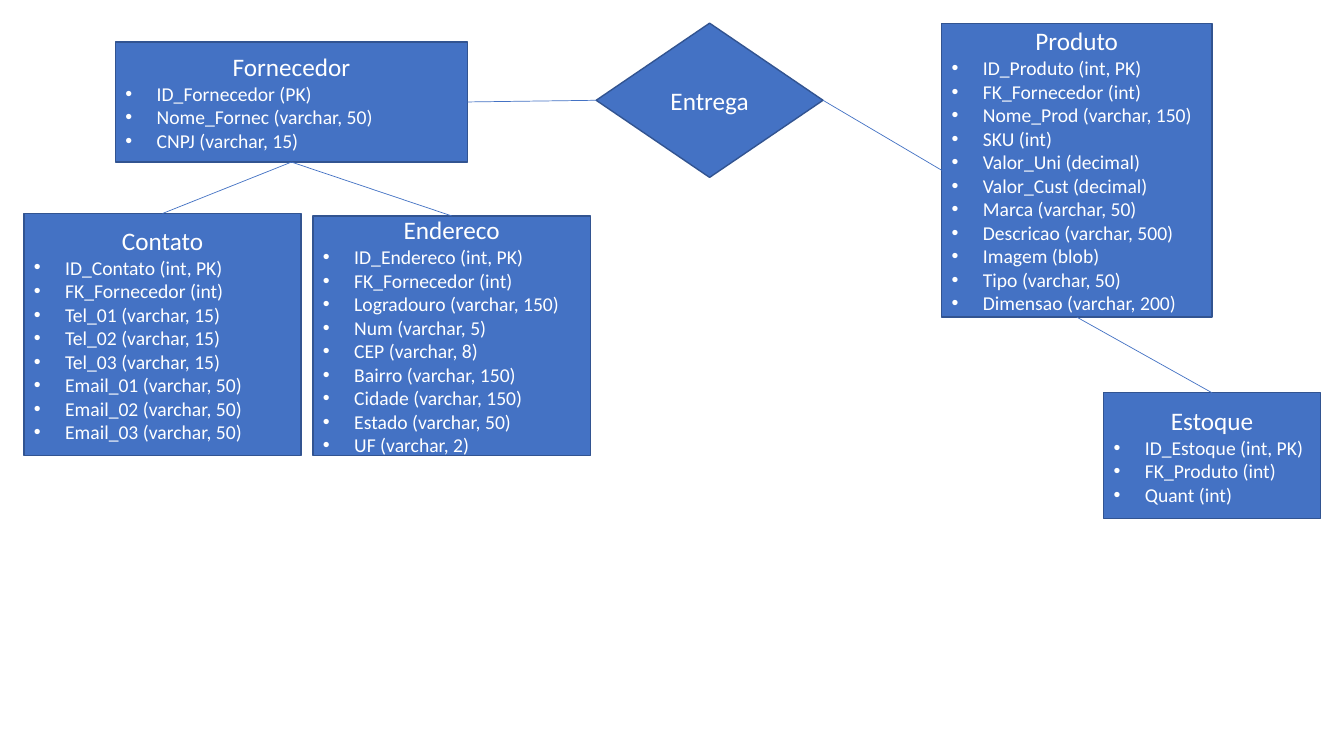
from dataclasses import dataclass

from lxml import etree
from pptx import Presentation
from pptx.dml.color import RGBColor
from pptx.enum.shapes import MSO_CONNECTOR, MSO_SHAPE
from pptx.enum.text import MSO_ANCHOR, PP_ALIGN
from pptx.oxml.ns import qn
from pptx.shapes.autoshape import Shape
from pptx.slide import Slide
from pptx.util import Inches, Pt

RECTANGLE = MSO_SHAPE.RECTANGLE
DIAMOND = MSO_SHAPE.DIAMOND
STRAIGHT = MSO_CONNECTOR.STRAIGHT
CENTER, LEFT_ALIGNED = PP_ALIGN.CENTER, PP_ALIGN.LEFT
MIDDLE = MSO_ANCHOR.MIDDLE
TOP, LEFT, BOTTOM, RIGHT = range(4)

# The slide is a grid of 100 columns by 100 rows.
SLIDE_WIDTH, SLIDE_HEIGHT = Inches(13.33), Inches(7.5)
COLUMN, ROW = SLIDE_WIDTH / 100, SLIDE_HEIGHT / 100

FONT = "Calibri"
BLUE, DARK_BLUE, WHITE = "4472C4", "325491", "FFFFFF"
NAME_SIZE, FIELD_SIZE = 18, 14
FIELD_INDENT = Inches(0.31)


@dataclass(frozen=True)
class Entity:
    name: str
    column: float
    row: float
    columns: float
    rows: float
    fields: tuple[str, ...] = ()
    outline: MSO_SHAPE = RECTANGLE


@dataclass(frozen=True)
class Link:
    start: str
    start_side: int
    end: str
    end_side: int


ENTITIES = (
    Entity("Fornecedor", 8.6, 5.54, 26.18, 15.9, (
        "ID_Fornecedor (PK)",
        "Nome_Fornec (varchar, 50)",
        "CNPJ (varchar, 15)",
    )),
    Entity("Produto", 70.07, 3.1, 20.1, 38.85, (
        "ID_Produto (int, PK)",
        "FK_Fornecedor (int)",
        "Nome_Prod (varchar, 150)",
        "SKU (int)",
        "Valor_Uni (decimal)",
        "Valor_Cust (decimal)",
        "Marca (varchar, 50)",
        "Descricao (varchar, 500)",
        "Imagem (blob)",
        "Tipo (varchar, 50)",
        "Dimensao (varchar, 200)",
    )),
    Entity("Entrega", 44.36, 3.07, 16.88, 20.4, outline=DIAMOND),
    Entity("Contato", 1.78, 28.24, 20.63, 32, (
        "ID_Contato (int, PK)",
        "FK_Fornecedor (int)",
        "Tel_01 (varchar, 15)",
        "Tel_02 (varchar, 15)",
        "Tel_03 (varchar, 15)",
        "Email_01 (varchar, 50)",
        "Email_02 (varchar, 50)",
        "Email_03 (varchar, 50)",
    )),
    Entity("Endereco", 23.29, 28.56, 20.63, 31.7, (
        "ID_Endereco (int, PK)",
        "FK_Fornecedor (int)",
        "Logradouro (varchar, 150)",
        "Num (varchar, 5)",
        "CEP (varchar, 8)",
        "Bairro (varchar, 150)",
        "Cidade (varchar, 150)",
        "Estado (varchar, 50)",
        "UF (varchar, 2)",
    )),
    Entity("Estoque", 82.12, 51.96, 16.13, 16.64, (
        "ID_Estoque (int, PK)",
        "FK_Produto (int)",
        "Quant (int)",
    )),
)

LINKS = (
    Link("Fornecedor", RIGHT, "Entrega", LEFT),
    Link("Entrega", RIGHT, "Produto", LEFT),
    Link("Fornecedor", BOTTOM, "Contato", TOP),
    Link("Fornecedor", BOTTOM, "Endereco", TOP),
    Link("Produto", BOTTOM, "Estoque", TOP),
)


def color(value: str) -> RGBColor:
    return RGBColor.from_string(value)


def add_bullet(para) -> None:
    properties = para._p.get_or_add_pPr()
    properties.set("marL", str(FIELD_INDENT))
    properties.set("indent", str(-FIELD_INDENT))
    etree.SubElement(properties, qn("a:buFont")).set("typeface", "Arial")
    etree.SubElement(properties, qn("a:buChar")).set("char", "•")


def write_entity_text(box: Shape, entity: Entity) -> None:
    frame = box.text_frame
    frame.word_wrap = True
    frame.vertical_anchor = MIDDLE
    frame.text = "\n".join((entity.name, *entity.fields))
    for index, para in enumerate(frame.paragraphs):
        is_name = index == 0
        para.alignment = CENTER if is_name else LEFT_ALIGNED
        if not is_name:
            add_bullet(para)
        for span in para.runs:
            span.font.name = FONT
            span.font.size = Pt(NAME_SIZE if is_name else FIELD_SIZE)
            span.font.color.rgb = color(WHITE)


def add_entity(page: Slide, entity: Entity) -> Shape:
    box = page.shapes.add_shape(
        entity.outline,
        round(entity.column * COLUMN), round(entity.row * ROW),
        round(entity.columns * COLUMN), round(entity.rows * ROW),
    )
    box.shadow.inherit = False
    box.fill.solid()
    box.fill.fore_color.rgb = color(BLUE)
    box.line.color.rgb = color(DARK_BLUE)
    box.line.width = Pt(1)
    write_entity_text(box, entity)
    return box


def add_link(page: Slide, link: Link, boxes: dict[str, Shape]) -> None:
    line = page.shapes.add_connector(STRAIGHT, 0, 0, 0, 0)
    line.begin_connect(boxes[link.start], link.start_side)
    line.end_connect(boxes[link.end], link.end_side)
    line.line.color.rgb = color(BLUE)
    line.line.width = Pt(0.5)
    etree.SubElement(line._element.spPr, qn("a:effectLst"))


def main() -> None:
    deck = Presentation()
    deck.slide_width, deck.slide_height = SLIDE_WIDTH, SLIDE_HEIGHT
    page = deck.slides.add_slide(deck.slide_layouts.get_by_name("Blank"))
    boxes = {entity.name: add_entity(page, entity) for entity in ENTITIES}
    for link in LINKS:
        add_link(page, link, boxes)
    deck.save("out.pptx")


if __name__ == "__main__":
    main()
